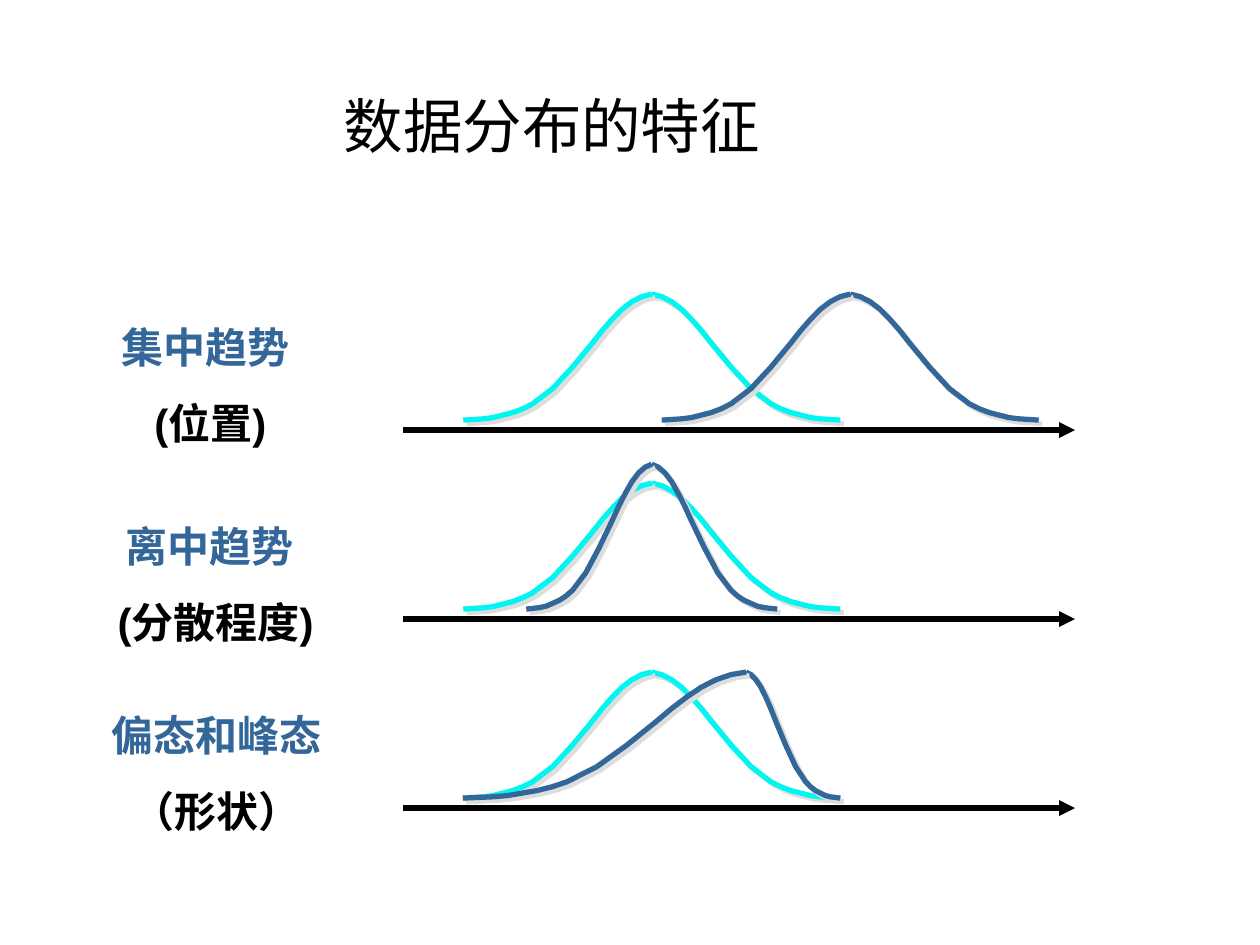
"""Build a slide comparing distributions by location, spread and shape."""
import dataclasses

import lxml.etree
import pptx
import pptx.dml.color
import pptx.enum.shapes
import pptx.enum.text
import pptx.oxml.ns
import pptx.util

Cm = pptx.util.Cm
Pt = pptx.util.Pt


@dataclasses.dataclass(frozen=True)
class Theme:
    ink: str = "000000"
    blue: str = "336699"
    cyan: str = "00F6F0"
    shadow: str = "DDDDDD"
    title_font: str = "DejaVu Sans"
    label_font: str = "Arial"
    title_size: float = 34
    label_size: float = 24
    label_gap: float = 15
    stroke: float = 3


@dataclasses.dataclass(frozen=True)
class Curve:
    color: str
    peak: float
    left: float
    right: float
    height: float = 2.54


THEME = Theme()
BELL_STEPS = (0, 2, 3, 4, 5, 6, 7, 9, 11, 13, 14, 15, 16, 17, 18, 19)
BELL_HEIGHTS = (0, .01, .02, .04, .06, .09, .13, .25, .42, .61, .71, .8, .88, .94, .98, 1)
REFERENCE = Curve(THEME.cyan, 13.14, 3.8, 3.8)
AXIS_START, AXIS_END = 8.13, 21.67
FIRST_AXIS, ROW_PITCH, CURVE_LIFT = 8.67, 3.81, 0.2
ROWS = (
    ((1.27, 6.35, 5.94), "集中趋势 ", "(位置)", Curve(THEME.blue, 17.14, 3.8, 3.8)),
    ((0.84, 10.36, 6.78), "离中趋势", " (分散程度)", Curve(THEME.blue, 13.14, 2.53, 2.53, 2.92)),
    ((1.07, 14.17, 6.58), "偏态和峰态", "（形状）", Curve(THEME.blue, 15.04, 5.71, 1.9)),
)


def rgb(color):
    return pptx.dml.color.RGBColor.from_string(color)


def add_child(parent, tag, **attributes):
    return lxml.etree.SubElement(parent, pptx.oxml.ns.qn(tag), **attributes)


def add_box(page, left, top, width, height):
    box = page.shapes.add_textbox(Cm(left), Cm(top), Cm(width), Cm(height))
    box.text_frame.word_wrap = True
    return box


def add_span(para, text, font, size, color, bold=False):
    para.alignment = pptx.enum.text.PP_ALIGN.CENTER
    span = para.add_run()
    span.text = text
    span.font.name = font
    span.font.size = Pt(size)
    span.font.bold = bold
    span.font.color.rgb = rgb(color)


def add_title(page, text):
    box = add_box(page, 1.5, 0.91, 19.25, 3.2)
    box.text_frame.vertical_anchor = pptx.enum.text.MSO_ANCHOR.MIDDLE
    add_span(box.text_frame.paragraphs[0], text, THEME.title_font, THEME.title_size, THEME.ink)


def add_label(page, place, name, note):
    frame = add_box(page, *place, 2.82).text_frame
    add_span(frame.paragraphs[0], name, THEME.label_font, THEME.label_size, THEME.blue, True)
    para = frame.add_paragraph()
    para.space_before = Pt(THEME.label_gap)
    add_span(para, note, THEME.label_font, THEME.label_size, THEME.ink, True)


def add_axis(page, y):
    axis = page.shapes.add_connector(
        pptx.enum.shapes.MSO_CONNECTOR.STRAIGHT, Cm(AXIS_START), Cm(y), Cm(AXIS_END), Cm(y))
    axis.line.color.rgb = rgb(THEME.ink)
    axis.line.width = Pt(THEME.stroke)
    add_child(axis.line._get_or_add_ln(), "a:tailEnd", type="triangle")
    add_child(axis._element.spPr, "a:effectLst")


def add_shadow(shape):
    shape.shadow.inherit = False
    effects = shape._element.spPr.find(pptx.oxml.ns.qn("a:effectLst"))
    shadow = add_child(effects, "a:outerShdw", dist=str(Pt(2.8)), dir="2700000", algn="ctr")
    add_child(shadow, "a:srgbClr", val=THEME.shadow)


def add_half(page, curve, foot, reach):
    points = [
        (Cm(curve.peak + reach * (1 - step / BELL_STEPS[-1])), Cm(foot - curve.height * rise))
        for step, rise in zip(BELL_STEPS, BELL_HEIGHTS)
    ]
    builder = page.shapes.build_freeform(*points[0])
    builder.add_line_segments(points[1:], close=False)
    half = builder.convert_to_shape()
    half.fill.background()
    half.line.color.rgb = rgb(curve.color)
    half.line.width = Pt(THEME.stroke)
    add_shadow(half)


def add_curve(page, curve, foot):
    for reach in (curve.right, -curve.left):
        add_half(page, curve, foot, reach)


def main():
    deck = pptx.Presentation()
    deck.slide_width, deck.slide_height = Cm(25.4), Cm(19.05)
    page = deck.slides.add_slide(deck.slide_layouts[6])
    add_title(page, "数据分布的特征")
    for index, (place, name, note, curve) in enumerate(ROWS):
        axis_y = FIRST_AXIS + index * ROW_PITCH
        add_label(page, place, name, note)
        add_axis(page, axis_y)
        for shown in (REFERENCE, curve):
            add_curve(page, shown, axis_y - CURVE_LIFT)
    deck.save("out.pptx")


if __name__ == "__main__":
    main()
